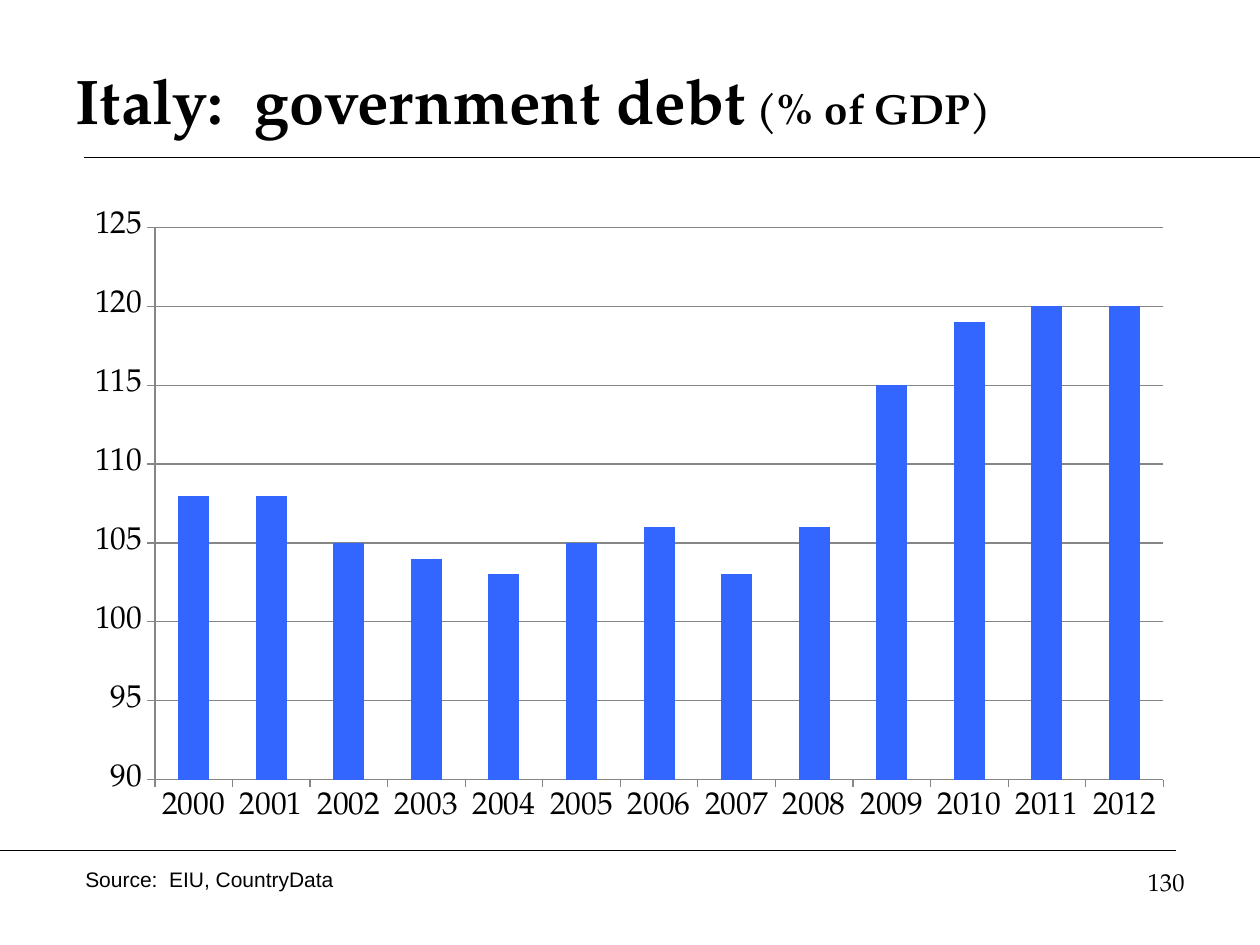
from lxml import etree
from pptx import Presentation
from pptx import util as u
from pptx.chart.data import CategoryChartData
from pptx.dml.color import RGBColor
from pptx.enum import chart as ch, shapes, text
from pptx.oxml.ns import qn

SERIF = "TeX Gyre Pagella"


def color(code):
    return RGBColor.from_string(code)


def add_text(box, runs, face, bold=False, align=text.PP_ALIGN.LEFT,
             anchor=text.MSO_ANCHOR.TOP):
    """Add a one-paragraph text box; runs are (words, point size) pairs."""
    frame = slide.shapes.add_textbox(*map(u.Cm, box)).text_frame
    frame.word_wrap = True
    frame.vertical_anchor = anchor
    para = frame.paragraphs[0]
    para.alignment = align
    para.font.name = face
    para.font.bold = bold
    para.font.color.rgb = color("000000")
    for words, size in runs:
        run = para.add_run()
        run.text = words
        font = run.font
        font.size = u.Pt(size)
        font.name = face
        font.bold = bold
        font.color.rgb = color("000000")


deck = Presentation()
deck.slide_width, deck.slide_height = u.Cm(25.4), u.Cm(19.05)
slide = deck.slides.add_slide(deck.slide_layouts[6])

# Rules under the title and above the footer
for left, right, top in [(1.7, 25.4, 3.18), (0, 23.7, 17.15)]:
    rule = slide.shapes.add_connector(
        shapes.MSO_CONNECTOR.STRAIGHT, u.Cm(left), u.Cm(top), u.Cm(right), u.Cm(top))
    rule.line.color.rgb = color("000000")
    rule.line.width = u.Pt(0.75)
    etree.SubElement(rule._element.spPr, qn("a:effectLst"))

add_text((1.27, 0.84, 22.86, 2.34),
         [("Italy:  government debt", 36), (" (% of GDP)", 24)],
         SERIF, bold=True, anchor=text.MSO_ANCHOR.MIDDLE)
add_text((18.21, 17.35, 5.92, 1.32), [("130", 14)], SERIF,
         align=text.PP_ALIGN.RIGHT)
add_text((1.47, 17.35, 12.27, 0.76), [("Source:  EIU, CountryData", 12)], "Arial")

# Debt chart
data = CategoryChartData()
data.categories = [str(year) for year in range(2000, 2013)]
data.add_series("Government debt", [108, 108, 105, 104, 103, 105, 106, 103, 106,
                                    115, 119, 120, 120])
chart = slide.shapes.add_chart(
    ch.XL_CHART_TYPE.COLUMN_CLUSTERED,
    u.Cm(1.47), u.Cm(4.01), u.Cm(22.43), u.Cm(12.85), data).chart
chart.has_legend = False
chart.has_title = False
chart.font.name = SERIF
chart.font.size = u.Pt(18)
chart.font.color.rgb = color("000000")

plot = chart.plots[0]
plot.gap_width = 150
plot.vary_by_categories = False
fill = plot.series[0].format.fill
fill.solid()
fill.fore_color.rgb = color("3366FF")

debt = chart.value_axis
debt.minimum_scale, debt.maximum_scale, debt.major_unit = 90, 125, 5
debt.has_major_gridlines = True
for axis in (debt, chart.category_axis):
    axis.major_tick_mark = ch.XL_TICK_MARK.OUTSIDE
for part in (debt, chart.category_axis, debt.major_gridlines):
    part.format.line.color.rgb = color("868686")
    part.format.line.width = u.Pt(0.75)

deck.save("out.pptx")
